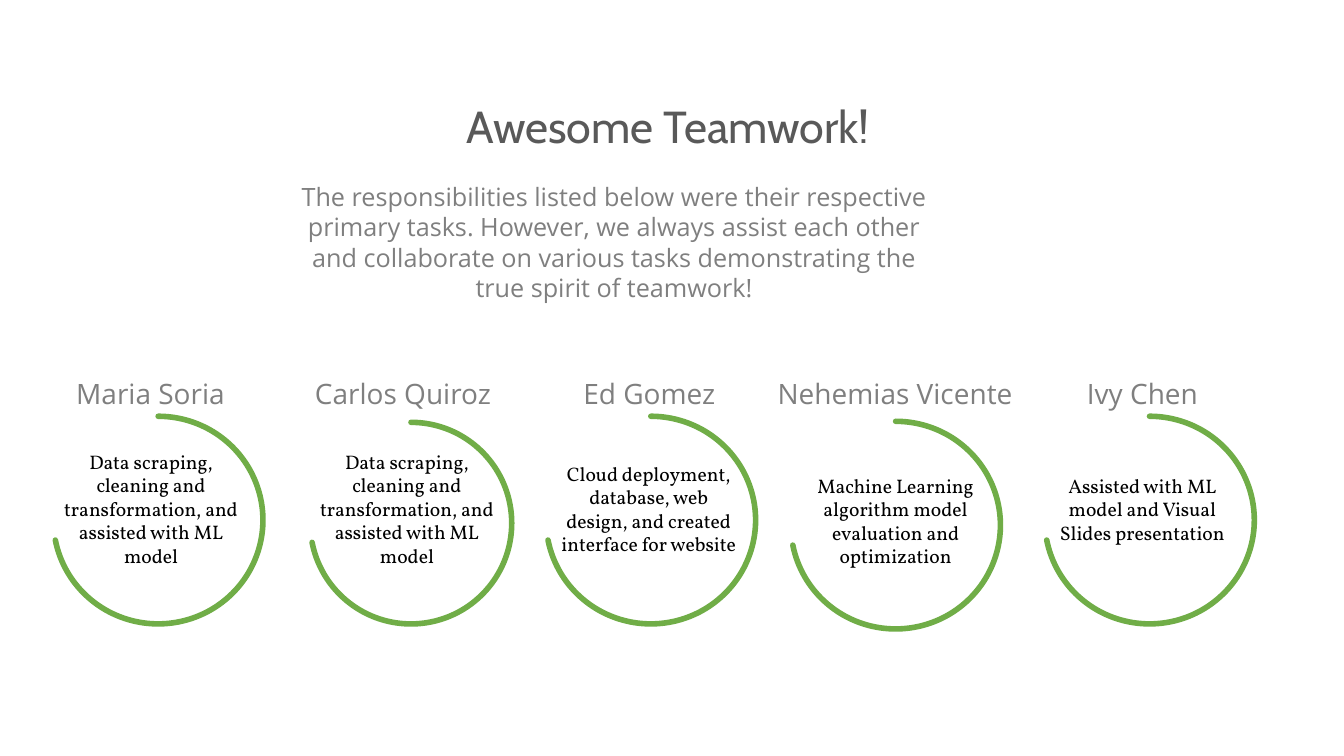
from dataclasses import dataclass

from lxml.etree import SubElement
from pptx import Presentation
from pptx.dml.color import RGBColor
from pptx.enum.shapes import MSO_SHAPE
from pptx.enum.text import MSO_ANCHOR, MSO_AUTO_SIZE, PP_ALIGN
from pptx.oxml.ns import qn
from pptx.shapes.autoshape import Shape
from pptx.slide import Slide
from pptx.util import Inches, Pt

COLORS = {"title": "595959", "gray": "7F7F7F", "black": "000000", "green": "70AD47"}
FRAME_FORMAT = {
    "auto_size": MSO_AUTO_SIZE.NONE,
    "vertical_anchor": MSO_ANCHOR.TOP,
    "margin_left": Inches(0.1),
    "margin_right": Inches(0.1),
    "margin_top": Inches(0.05),
    "margin_bottom": Inches(0.05),
}
PARAGRAPH_FORMAT = {"alignment": PP_ALIGN.CENTER, "space_before": Pt(0)}
ARC_START, ARC_END = 270, 169
ANGLE_UNIT = 0.6
TASK_WIDTH = 1.96


@dataclass(frozen=True)
class TextStyle:
    font: str
    size: int
    color: str
    wrap: bool = True


@dataclass(frozen=True)
class Box:
    left: float
    top: float
    width: float
    height: float

    def lengths(self) -> list[int]:
        return [Inches(value) for value in (self.left, self.top, self.width, self.height)]


@dataclass(frozen=True)
class Member:
    name: str
    name_left: float
    name_width: float
    task: str
    task_left: float
    task_top: float
    arc: Box


TITLE = TextStyle("Cabin", 32, "title", wrap=False)
INTRODUCTION = TextStyle("Open Sans", 18, "gray")
NAME = TextStyle("Open Sans", 20, "gray", wrap=False)
TASK = TextStyle("Vollkorn", 14, "black")

DATA_TASK = "Data scraping, cleaning and transformation, and assisted with ML model"
MEMBERS = [
    Member("Maria Soria", 0.66, 1.67, DATA_TASK, 0.52, 4.41, Box(0.53, 4.13, 2.08, 2.06)),
    Member("Carlos Quiroz", 3.02, 1.96, DATA_TASK, 3.06, 4.41, Box(3.08, 4.19, 2, 2)),
    Member("Ed Gomez", 5.69, 1.51,
           "Cloud deployment, database, web design, and created interface for website",
           5.46, 4.53, Box(5.42, 4.13, 2.08, 2.06)),
    Member("Nehemias Vicente", 7.62, 2.53,
           "Machine Learning algorithm model evaluation and optimization",
           7.91, 4.65, Box(7.85, 4.18, 2.08, 2.06)),
    Member("Ivy Chen", 10.69, 1.3,
           "Assisted with ML model and Visual Slides presentation",
           10.36, 4.65, Box(10.37, 4.13, 2.08, 2.06)),
]


def apply_format(target: object, values: dict) -> None:
    for attribute, value in values.items():
        setattr(target, attribute, value)


def write_text(shape: Shape, text: str, style: TextStyle) -> None:
    frame = shape.text_frame
    apply_format(frame, FRAME_FORMAT | {"word_wrap": style.wrap})
    paragraph = frame.paragraphs[0]
    apply_format(paragraph, PARAGRAPH_FORMAT)
    run = paragraph.add_run()
    run.text = text
    apply_format(run.font, {"name": style.font, "size": Pt(style.size)})
    run.font.color.rgb = RGBColor.from_string(COLORS[style.color])


def fill_placeholder(shape: Shape, box: Box, text: str, style: TextStyle) -> None:
    left, top, width, height = box.lengths()
    apply_format(shape, {"left": left, "top": top, "width": width, "height": height})
    write_text(shape, text, style)


def remove_bullet(shape: Shape) -> None:
    properties = shape.text_frame.paragraphs[0]._p.get_or_add_pPr()
    properties.set("marL", "0")
    properties.set("indent", "0")
    SubElement(properties, qn("a:buNone"))


def add_text(slide: Slide, box: Box, text: str, style: TextStyle) -> None:
    write_text(slide.shapes.add_textbox(*box.lengths()), text, style)


def add_arc(slide: Slide, box: Box) -> None:
    arc = slide.shapes.add_shape(MSO_SHAPE.ARC, *box.lengths())
    arc.shadow.inherit = False
    arc.adjustments[0] = ARC_START * ANGLE_UNIT
    arc.adjustments[1] = ARC_END * ANGLE_UNIT
    arc.fill.background()
    arc.line.color.rgb = RGBColor.from_string(COLORS["green"])
    arc.line.width = Pt(4)
    arc.line._get_or_add_ln().set("cap", "rnd")


def add_member(slide: Slide, member: Member) -> None:
    add_arc(slide, member.arc)
    add_text(slide, Box(member.name_left, 3.69, member.name_width, 0.44), member.name, NAME)
    add_text(slide, Box(member.task_left, member.task_top, TASK_WIDTH, 1.27), member.task, TASK)


def main() -> None:
    presentation = Presentation()
    presentation.slide_width = Inches(13.34)
    presentation.slide_height = Inches(7.5)
    slide = presentation.slides.add_slide(presentation.slide_layouts[1])
    fill_placeholder(slide.shapes.title, Box(4.3, 0.93, 4.67, 0.64), "Awesome Teamwork!", TITLE)
    body = slide.placeholders[1]
    fill_placeholder(
        body,
        Box(2.86, 1.75, 6.47, 1.3),
        "The responsibilities listed below were their respective primary tasks. However, "
        "we always assist each other and collaborate on various tasks demonstrating the "
        "true spirit of teamwork!",
        INTRODUCTION,
    )
    remove_bullet(body)
    for member in MEMBERS:
        add_member(slide, member)
    presentation.save("out.pptx")


if __name__ == "__main__":
    main()
